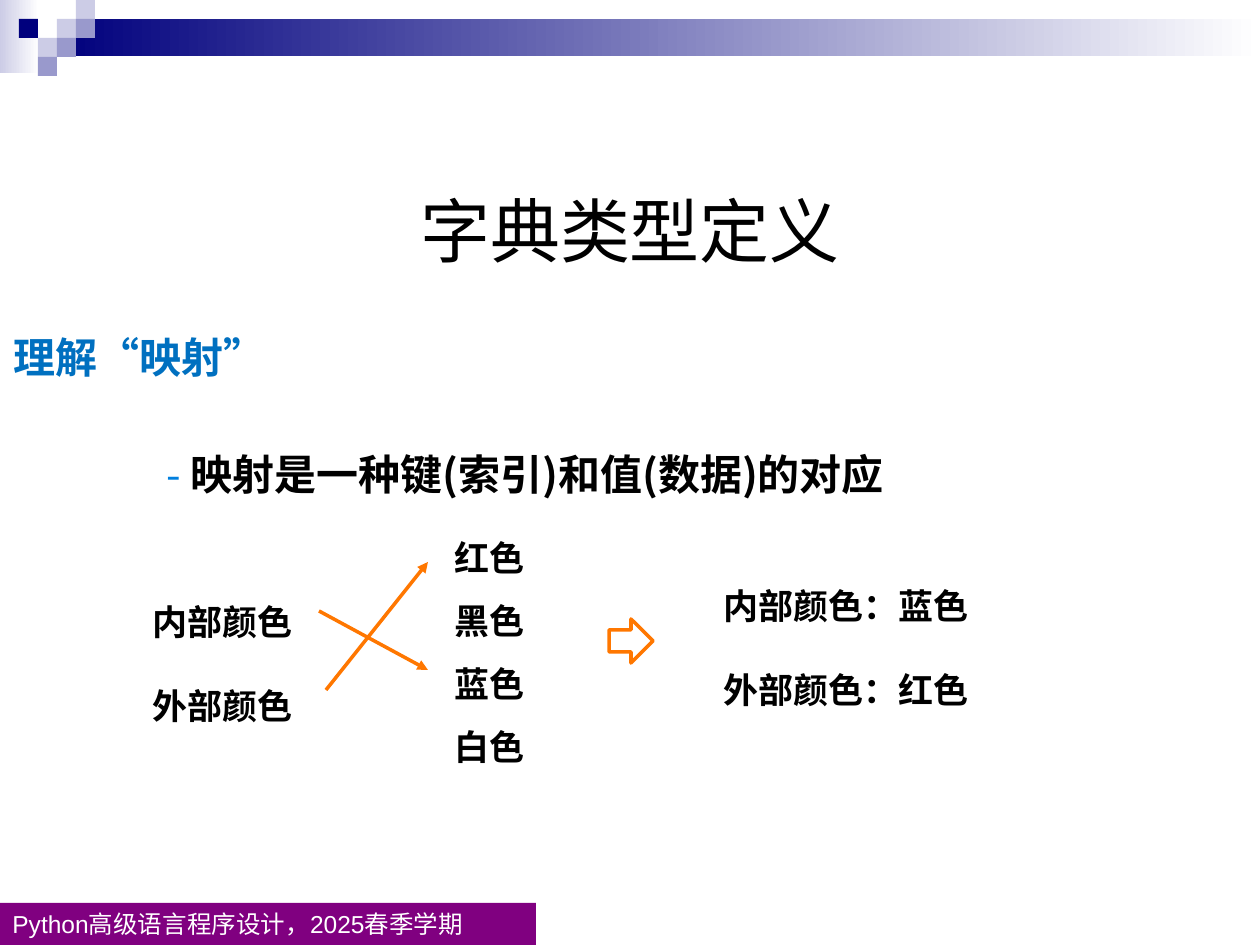
from lxml.etree import SubElement
from pptx import Presentation
from pptx.dml.color import RGBColor
from pptx.enum.shapes import MSO_CONNECTOR, MSO_SHAPE
from pptx.enum.text import MSO_ANCHOR, MSO_AUTO_SIZE, PP_ALIGN
from pptx.oxml.ns import qn
from pptx.util import Emu, Pt

HUES = {"navy": "00007D", "pale": "CCCCE6", "mid": "9999CC", "white": "FFFFFF",
        "purple": "800080", "black": "000000", "blue": "0070C0",
        "dash": "007FDE", "orange": "FF7700"}
RGB = {name: RGBColor.from_string(code) for name, code in HUES.items()}
CJK = "Noto Sans CJK SC"


def px(*nums):
    return [Emu(round(n * 914400 / 126)) for n in nums]


def write(frame, lines, size, space=None, font=CJK):
    """Fill a frame; each line is a list of (text, colour, bold) runs."""
    frame.word_wrap = True
    frame.auto_size = MSO_AUTO_SIZE.NONE
    for i, line in enumerate(lines):
        para = frame.add_paragraph() if i else frame.paragraphs[0]
        props = para._p.get_or_add_pPr()
        props.set("marL", "0")
        props.set("indent", "0")
        para.space_before = Pt(0)
        para.line_spacing = space
        SubElement(props, qn("a:buNone"))
        for text, hue, bold in line:
            run = para.add_run()
            run.text = text
            run.font.size = Pt(size)
            run.font.bold = bold
            run.font.color.rgb = RGB[hue]
            run.font.name = font
            SubElement(run._r.get_or_add_rPr(), qn("a:ea"), typeface=CJK)


deck = Presentation()
deck.slide_width, deck.slide_height = px(1260, 945)
slide = deck.slides.add_slide(deck.slide_layouts[1])
shapes = slide.shapes

# Banner: two fading bars, then squares on a grid
for box, hue in [((0, 0, 39, 73), "pale"), ((57, 19, 1203, 37), "navy")]:
    bar = shapes.add_shape(MSO_SHAPE.RECTANGLE, *px(*box))
    bar.shadow.inherit = False
    bar.line.fill.background()
    bar.fill.gradient()
    bar.fill.gradient_angle = 0
    for stop, pos, tint in zip(bar.fill.gradient_stops, (0, 1), (hue, "white")):
        stop.position = pos
        stop.color.rgb = RGB[tint]

side = 19
blocks = [(3, 1, "pale"), (4, 0, "pale"), (4, 1, "mid"), (2, 2, "pale"),
          (1, 1, "navy"), (3, 2, "mid"), (2, 3, "mid")]
plain = [((col * side, row * side, side, side), hue) for col, row, hue in blocks]
plain.append(((0, 903, 536, 42), "purple"))
for box, hue in plain:
    rect = shapes.add_shape(MSO_SHAPE.RECTANGLE, *px(*box))
    rect.shadow.inherit = False
    rect.fill.solid()
    rect.fill.fore_color.rgb = RGB[hue]
    rect.line.fill.background()

# The last rectangle is the footer
foot = rect.text_frame
foot.vertical_anchor = MSO_ANCHOR.MIDDLE
write(foot, [[("Python高级语言程序设计，2025春季学期", "white", False)]], 14, font="Arial")
foot.paragraphs[0].alignment = PP_ALIGN.LEFT

# Title and main point
title = shapes.title
title.left, title.top, title.width, title.height = px(0, 185, 1260, 110)
head = title.text_frame
head.margin_left = head.margin_right = head.margin_top = head.margin_bottom = 0
head.vertical_anchor = MSO_ANCHOR.MIDDLE
write(head, [[("字典类型定义", "black", False)]], 40, 0.7)
head.paragraphs[0].alignment = PP_ALIGN.CENTER

body = slide.placeholders[1]
body.left, body.top, body.width, body.height = px(154, 392, 983, 100)
body.text_frame.vertical_anchor = MSO_ANCHOR.TOP
write(body.text_frame, [[("- ", "dash", False),
                         ("映射是一种键(索引)和值(数据)的对应", "black", True)]], 24, 2.0)

# Heading, keys, values and the resulting pairs
texts = [
    ((1, 300, 1259, 81), ["理解“映射”"], "blue", 24, 1.5),
    ((140, 552, 179, 170), ["内部颜色", "外部颜色"], "black", 20, 2.0),
    ((442, 509, 110, 267), ["红色", "黑色", "蓝色", "白色"], "black", 20, 1.5),
    ((711, 536, 372, 170), ["内部颜色：蓝色", "外部颜色：红色"], "black", 20, 2.0),
]
for box, lines, hue, size, space in texts:
    frame = shapes.add_textbox(*px(*box)).text_frame
    write(frame, [[(line, hue, True)] for line in lines], size, space)

# Arrows from keys to values
for ends in [(319, 611, 428, 670), (326, 690, 428, 562)]:
    link = shapes.add_connector(MSO_CONNECTOR.STRAIGHT, *px(*ends))
    link.line.color.rgb = RGB["orange"]
    link.line.width = Pt(2)
    SubElement(link.line._get_or_add_ln(), qn("a:tailEnd"), type="triangle")
    SubElement(link._element.spPr, qn("a:effectLst"))

arrow = shapes.add_shape(MSO_SHAPE.RIGHT_ARROW, *px(609, 619, 44, 44))
arrow.shadow.inherit = False
arrow.fill.background()
arrow.line.color.rgb = RGB["orange"]
arrow.line.width = Pt(2)

deck.save("out.pptx")
